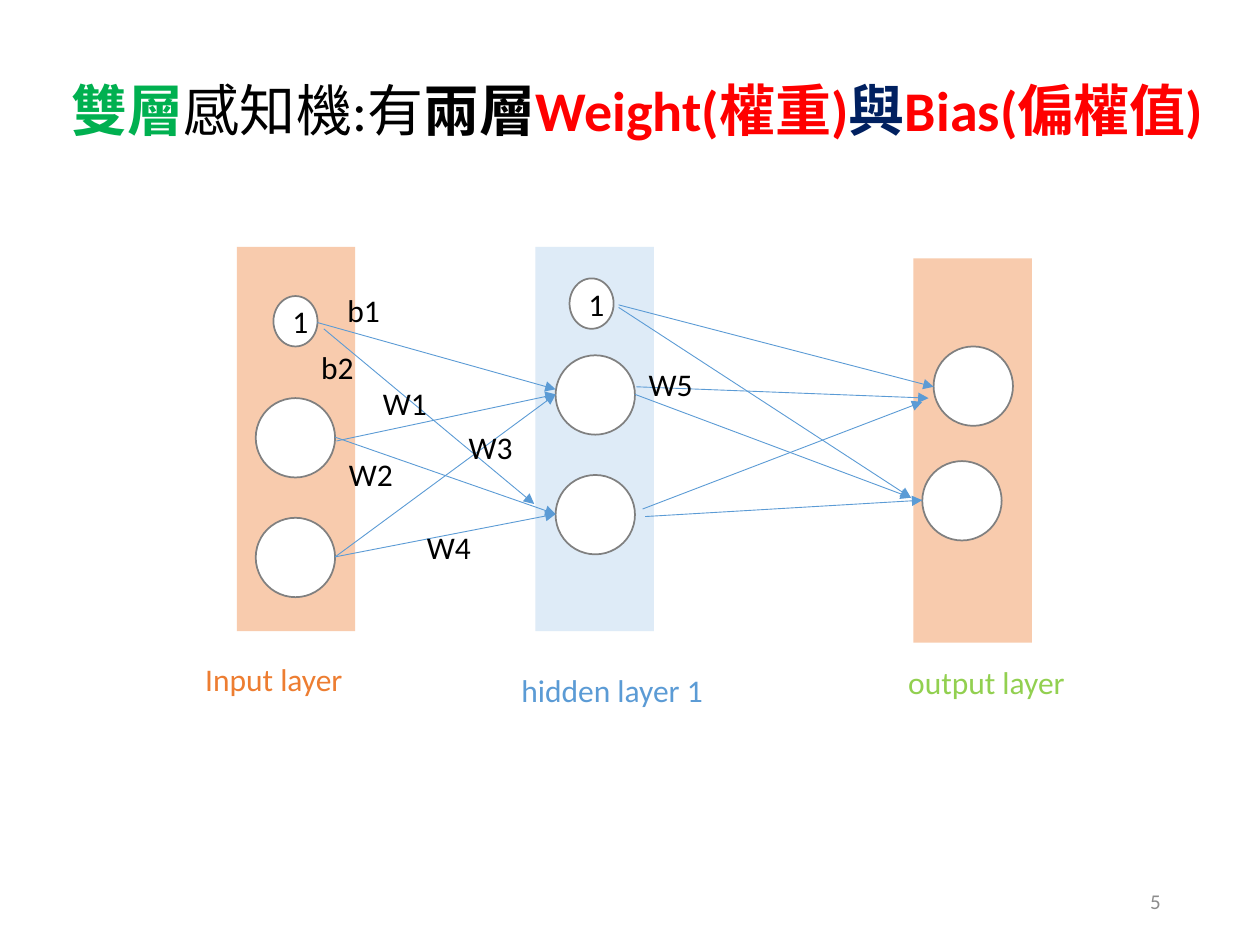
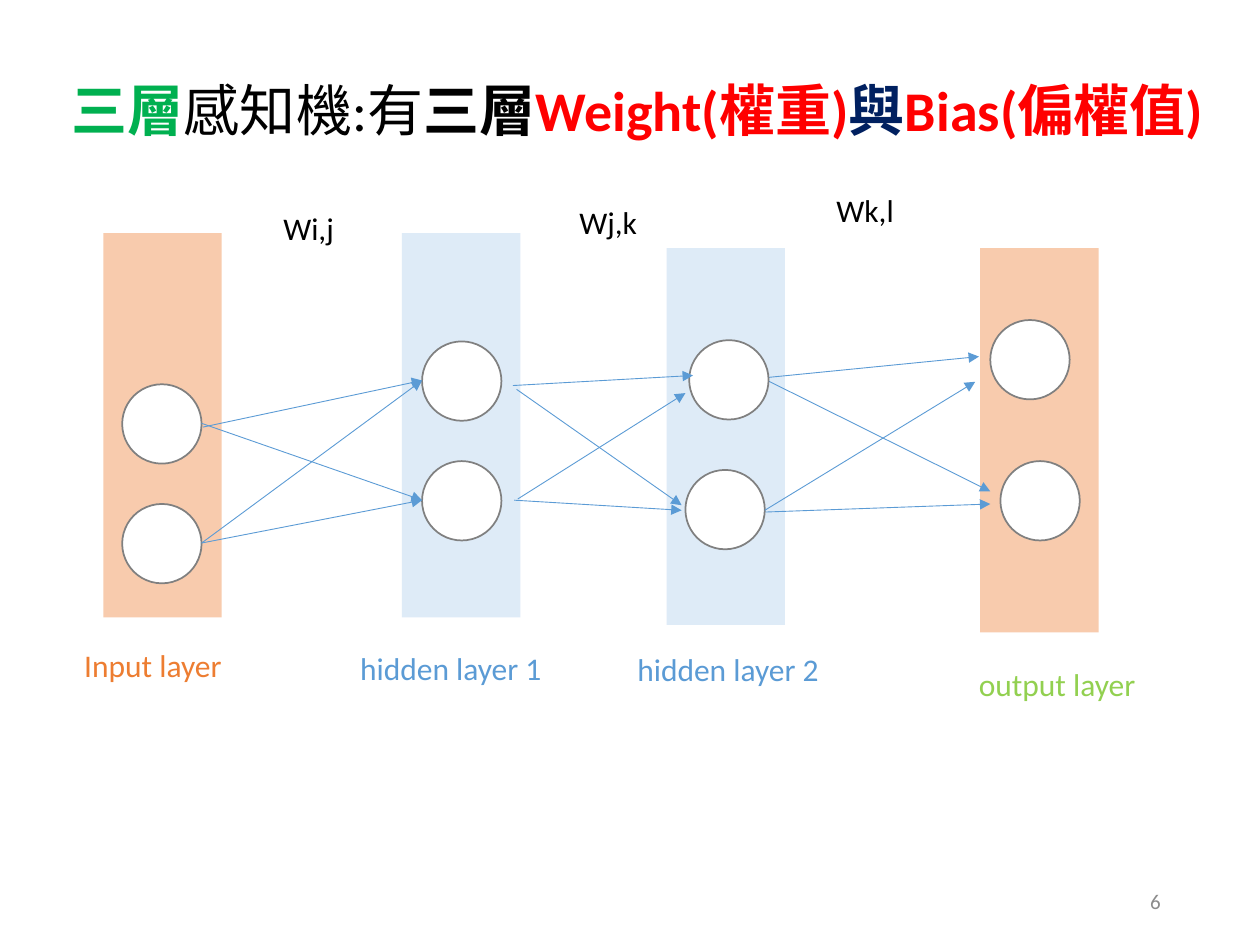
from lxml import etree
from pptx import Presentation
from pptx.dml.color import RGBColor
from pptx.enum.shapes import MSO_CONNECTOR, MSO_SHAPE
from pptx.enum.text import MSO_ANCHOR, MSO_AUTO_SIZE, PP_ALIGN
from pptx.oxml.ns import qn
from pptx.util import Inches, Pt

RECTANGLE, OVAL = MSO_SHAPE.RECTANGLE, MSO_SHAPE.OVAL
STRAIGHT = MSO_CONNECTOR.STRAIGHT
LEFT, CENTER, RIGHT = PP_ALIGN.LEFT, PP_ALIGN.CENTER, PP_ALIGN.RIGHT
TOP, MIDDLE = MSO_ANCHOR.TOP, MSO_ANCHOR.MIDDLE
GROW = MSO_AUTO_SIZE.SHAPE_TO_FIT_TEXT

BLACK = RGBColor(0x00, 0x00, 0x00)
WHITE = RGBColor(0xFF, 0xFF, 0xFF)
GRAY = RGBColor(0x80, 0x80, 0x80)
NUMBER_GRAY = RGBColor(0x8C, 0x8C, 0x8C)
RED = RGBColor(0xFF, 0x00, 0x00)
GREEN = RGBColor(0x00, 0xB0, 0x50)
NAVY = RGBColor(0x00, 0x20, 0x60)
ORANGE = RGBColor(0xED, 0x7D, 0x31)
BLUE = RGBColor(0x5B, 0x9B, 0xD5)
LIME = RGBColor(0x92, 0xD0, 0x50)
PALE_ORANGE = RGBColor(0xF8, 0xCB, 0xAD)
PALE_BLUE = RGBColor(0xDE, 0xEB, 0xF7)

FONT = "Calibri"
BAND_WIDTH, BAND_HEIGHT = 0.94, 3.05
NODE_SIZE = 0.63
BIAS_WIDTH, BIAS_HEIGHT = 0.35, 0.4
LABEL_HEIGHT = 0.4
TITLE_BOX = (0.47, 0.55, 9.27, 0.64)
NUMBER_BOX = (7.06, 6.95, 2.25, 0.4)

# Input layer joined to hidden layer 1, measured from the input band's corner
FIRST_LAYERS = {
    "bands": [(0, 0, BAND_HEIGHT, PALE_ORANGE), (2.37, 0, BAND_HEIGHT, PALE_BLUE)],
    "nodes": [(0.15, 1.2), (0.15, 2.15), (2.53, 0.86), (2.53, 1.81)],
    "wires": [(0.79, 1.54, 2.53, 1.17), (0.78, 1.51, 2.53, 2.12),
              (0.78, 2.46, 2.53, 1.17), (0.78, 2.46, 2.53, 2.12)],
}

# Bands: left, top, height, colour. Nodes: left, top. Wires: start x, y, end x, y.
# Labels: text, left, top, width, colour.
SLIDES = [
    {
        "number": "5",
        "title_words": ("雙層", "兩層"),
        "first_layers_at": (1.88, 1.96),
        "bands": [(7.25, 2.05, BAND_HEIGHT, PALE_ORANGE)],
        "nodes": [(7.41, 2.75), (7.32, 3.66)],
        "bias_nodes": [(2.17, 2.35), (4.52, 2.21)],
        "wires_under": [],
        "wires_over": [
            (5.05, 3.07, 7.37, 3.16), (5.04, 3.13, 7.23, 3.95),
            (5.1, 4.04, 7.32, 3.19), (5.12, 4.1, 7.32, 3.97),
            (2.52, 2.56, 4.41, 3.09), (2.57, 2.61, 4.24, 4),
            (4.91, 2.42, 7.41, 3.07), (4.91, 2.44, 7.23, 3.95),
        ],
        "labels": [
            ("Input layer", 1.53, 5.19, 1.31, ORANGE),
            ("hidden layer 1", 4.04, 5.28, 1.66, BLUE),
            ("output layer", 7.11, 5.21, 1.46, LIME),
            ("b1", 2.66, 2.26, 0.46, BLACK),
            ("b2", 2.45, 2.71, 0.46, BLACK),
            ("W1", 2.94, 3, 0.55, BLACK),
            ("W2", 2.67, 3.56, 0.55, BLACK),
            ("W3", 3.62, 3.35, 0.55, BLACK),
            ("W4", 3.29, 4.14, 0.55, BLACK),
            ("W5", 5.05, 2.85, 0.55, BLACK),
        ],
    },
    {
        "number": "6",
        "title_words": ("三層", "三層"),
        "first_layers_at": (0.82, 1.85),
        "bands": [(5.29, 1.97, 2.99, PALE_BLUE), (7.78, 1.97, BAND_HEIGHT, PALE_ORANGE)],
        "nodes": [(5.47, 2.7), (5.44, 3.73), (7.86, 2.54), (7.94, 3.66)],
        "bias_nodes": [],
        "wires_under": [(6.05, 3, 7.77, 2.83), (5.97, 2.96, 7.86, 3.9),
                        (5.91, 4.07, 7.86, 4)],
        "wires_over": [
            (4.07, 3.06, 5.5, 2.98), (4.1, 3.09, 5.41, 4.01),
            (4.11, 3.96, 5.44, 3.12), (4.08, 3.97, 5.41, 4.05),
            (6.07, 4.05, 7.74, 3.03),
        ],
        "labels": [
            ("Input layer", 0.57, 5.08, 1.31, ORANGE),
            ("hidden layer 1", 2.76, 5.1, 1.66, BLUE),
            ("hidden layer 2", 4.96, 5.11, 1.66, BLUE),
            ("output layer", 7.67, 5.23, 1.46, LIME),
            ("Wi,j", 2.15, 1.61, 0.61, BLACK),
            ("Wj,k", 4.5, 1.56, 0.66, BLACK),
            ("Wk,l", 6.54, 1.47, 0.66, BLACK),
        ],
    },
]


def title_runs(layer_word, weight_word):
    return [(layer_word, GREEN, True), ("感知機:有", BLACK, False),
            (weight_word, BLACK, True), ("Weight(權重)", RED, True),
            ("與", NAVY, True), ("Bias(偏權值)", RED, True)]


def set_all(target, values):
    for name, value in values.items():
        setattr(target, name, value)


def write(shape, runs, size, alignment=LEFT):
    paragraph = shape.text_frame.paragraphs[0]
    set_all(paragraph, {"alignment": alignment, "line_spacing": 1.0})
    for text, color, bold in runs:
        run = paragraph.add_run()
        run.text = text
        set_all(run.font, {"name": FONT, "size": Pt(size), "bold": bold})
        run.font.color.rgb = color
        run._r.get_or_add_rPr().set("lang", "zh-TW")


def add_text(slide, box, text, size, color, alignment, frame_format):
    text_box = slide.shapes.add_textbox(*map(Inches, box))
    set_all(text_box.text_frame, frame_format)
    write(text_box, [(text, color, False)], size, alignment)


def add_filled(slide, kind, box, fill, outline=None):
    shape = slide.shapes.add_shape(kind, *map(Inches, box))
    shape.shadow.inherit = False
    shape.fill.solid()
    shape.fill.fore_color.rgb = fill
    if outline is None:
        shape.line.fill.background()
    else:
        shape.line.color.rgb = outline
        shape.line.width = Pt(1)
    return shape


def add_wire(slide, ends):
    wire = slide.shapes.add_connector(STRAIGHT, *map(Inches, ends))
    wire.line.color.rgb = BLUE
    wire.line.width = Pt(0.5)
    etree.SubElement(wire.line._get_or_add_ln(), qn("a:tailEnd"), type="triangle")
    etree.SubElement(wire._element.spPr, qn("a:effectLst"))


def add_title(slide, title_words):
    title = slide.shapes.title
    left, top, width, height = map(Inches, TITLE_BOX)
    set_all(title, {"left": left, "top": top, "width": width, "height": height})
    set_all(title.text_frame, {"word_wrap": True, "auto_size": GROW,
                               "vertical_anchor": TOP})
    write(title, title_runs(*title_words), 32)


def add_network(slide, content):
    x, y = content["first_layers_at"]
    bands = [(x + left, y + top, height, color)
             for left, top, height, color in FIRST_LAYERS["bands"]]
    nodes = [(x + left, y + top) for left, top in FIRST_LAYERS["nodes"]]
    wires = [(x + x1, y + y1, x + x2, y + y2)
             for x1, y1, x2, y2 in FIRST_LAYERS["wires"]]

    # Layer bands
    for left, top, height, color in content["bands"] + bands:
        add_filled(slide, RECTANGLE, (left, top, BAND_WIDTH, height), color)

    # Neurons, with the wires that start beneath them
    for ends in content["wires_under"]:
        add_wire(slide, ends)
    for left, top in nodes + content["nodes"]:
        add_filled(slide, OVAL, (left, top, NODE_SIZE, NODE_SIZE), WHITE, GRAY)
    for left, top in content["bias_nodes"]:
        bias = add_filled(slide, OVAL, (left, top, BIAS_WIDTH, BIAS_HEIGHT), WHITE, GRAY)
        write(bias, [("1", BLACK, False)], 18, CENTER)

    # Weights and biases
    for ends in wires + content["wires_over"]:
        add_wire(slide, ends)


def main():
    presentation = Presentation()
    set_all(presentation, {"slide_width": Inches(10), "slide_height": Inches(7.5)})
    title_only = presentation.slide_layouts[5]
    for content in SLIDES:
        slide = presentation.slides.add_slide(title_only)
        add_title(slide, content["title_words"])
        add_network(slide, content)
        for text, left, top, width, color in content["labels"]:
            add_text(slide, (left, top, width, LABEL_HEIGHT), text, 18, color, LEFT,
                     {"word_wrap": False, "auto_size": GROW})
        add_text(slide, NUMBER_BOX, content["number"], 12, NUMBER_GRAY, RIGHT,
                 {"word_wrap": True, "vertical_anchor": MIDDLE})
    presentation.save("out.pptx")


if __name__ == "__main__":
    main()
